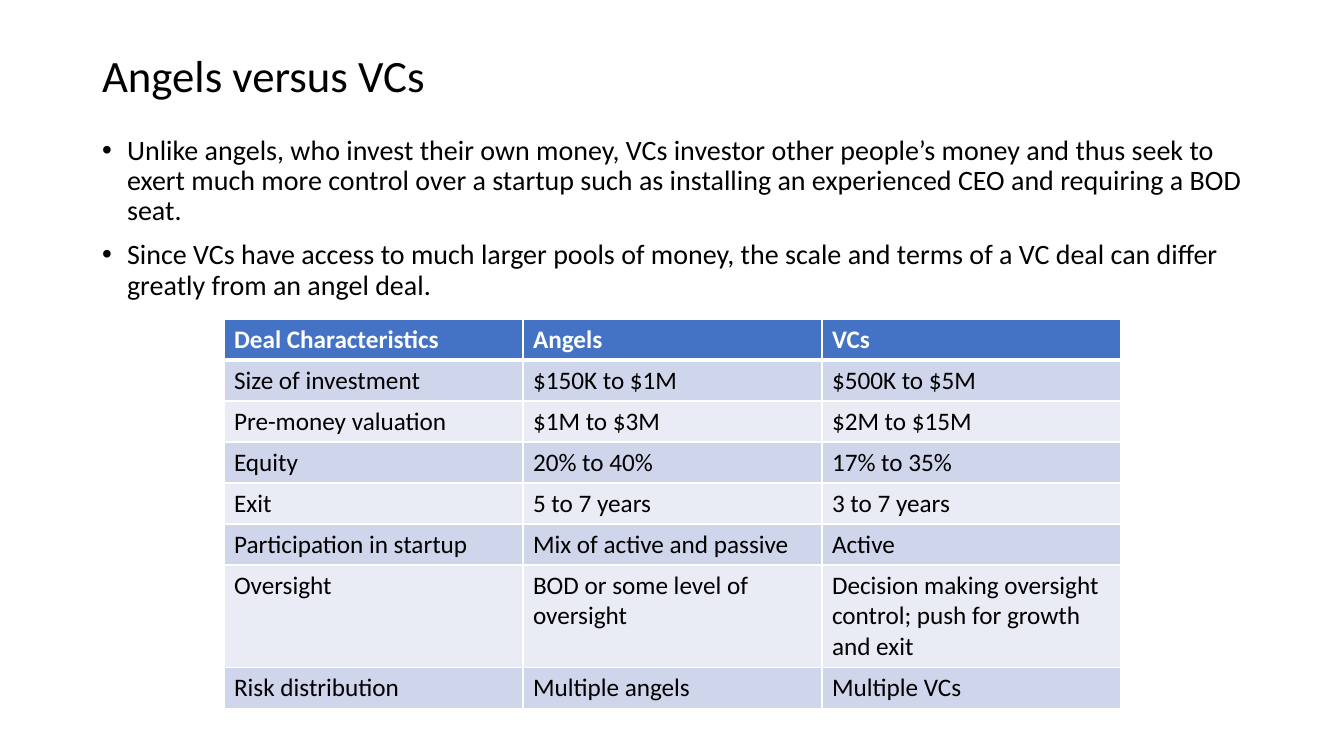
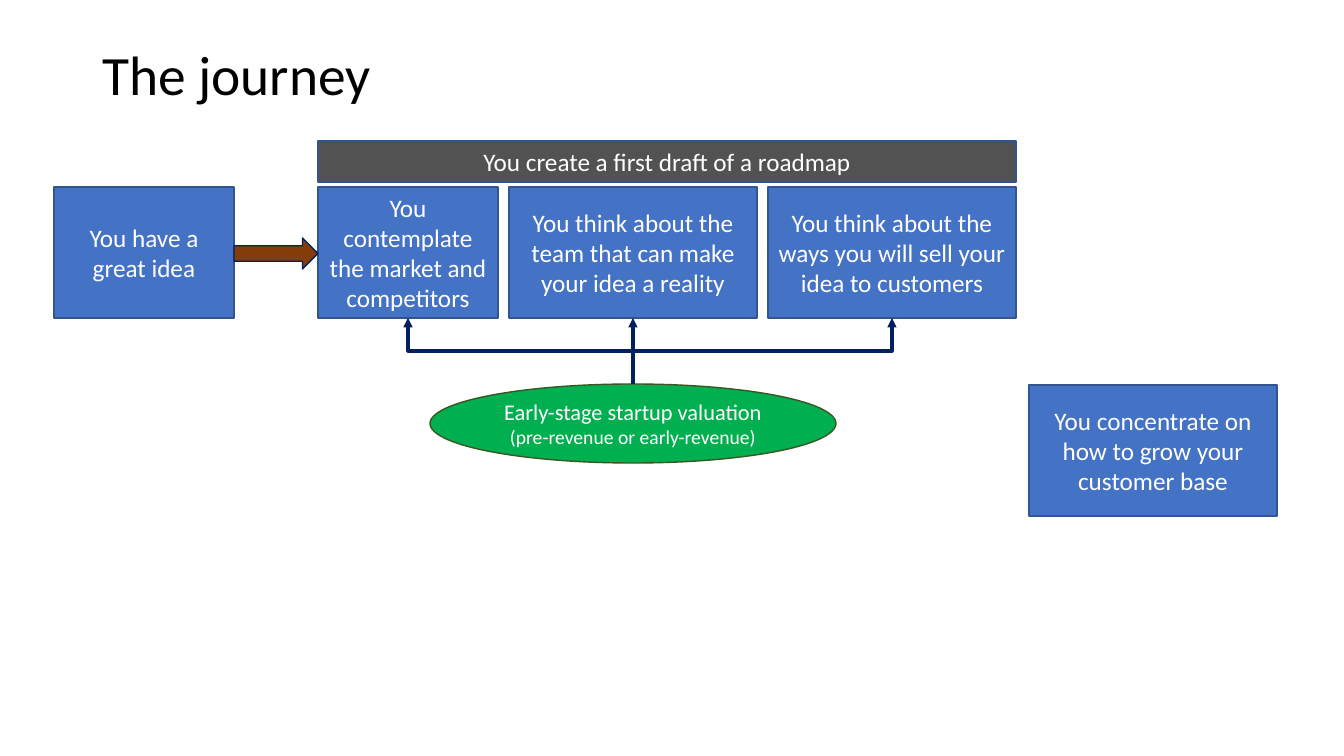
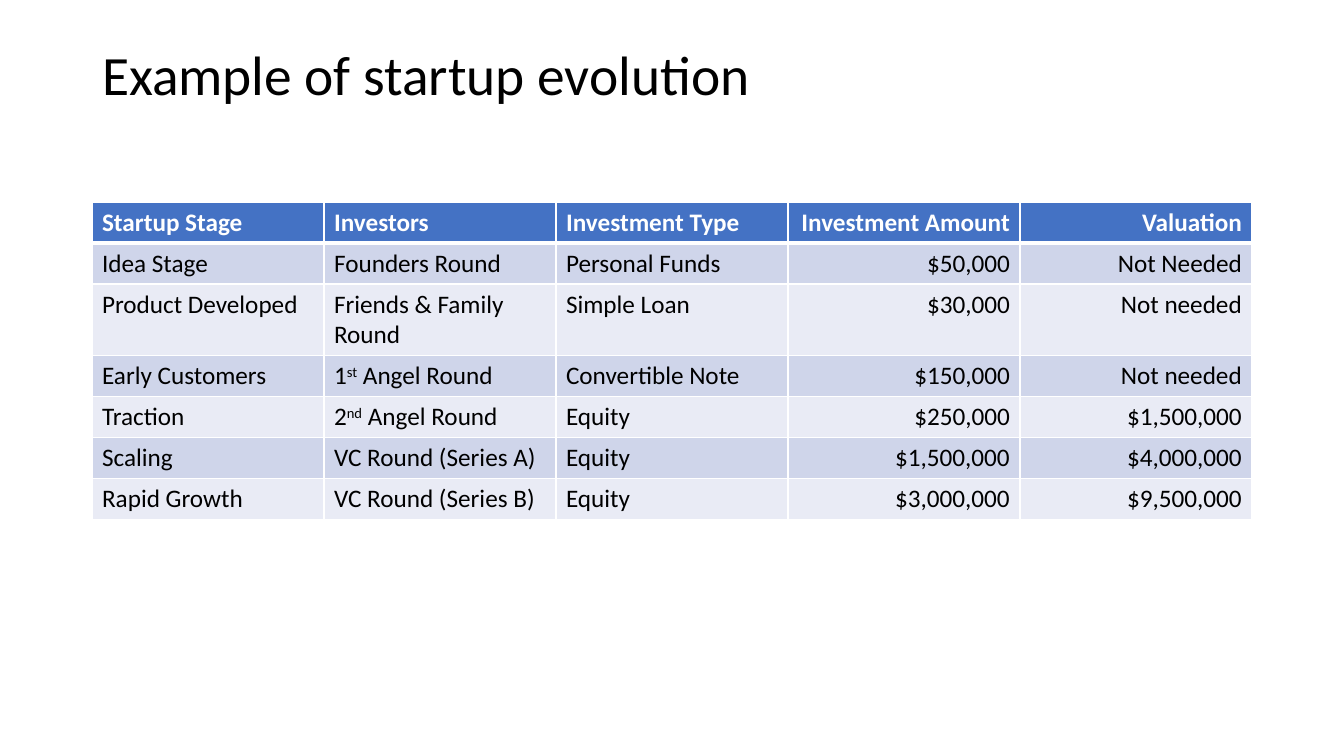
from dataclasses import dataclass

from lxml import etree
from pptx import Presentation
from pptx.dml.color import RGBColor
from pptx.enum.shapes import MSO_CONNECTOR, MSO_SHAPE
from pptx.enum.text import MSO_ANCHOR, MSO_AUTO_SIZE, PP_ALIGN
from pptx.oxml.ns import qn
from pptx.util import Emu, Pt

LEFT, CENTER, RIGHT = PP_ALIGN.LEFT, PP_ALIGN.CENTER, PP_ALIGN.RIGHT
TOP, MIDDLE = MSO_ANCHOR.TOP, MSO_ANCHOR.MIDDLE
NO_FIT = MSO_AUTO_SIZE.NONE
RECT, OVAL, ARROW = MSO_SHAPE.RECTANGLE, MSO_SHAPE.OVAL, MSO_SHAPE.RIGHT_ARROW
STRAIGHT, ELBOW = MSO_CONNECTOR.STRAIGHT, MSO_CONNECTOR.ELBOW
TITLE_AND_CONTENT, TITLE_ONLY = 1, 5
SITE_TOP, SITE_BOTTOM = 0, 2

# ---- Content ----
ANGELS_TITLE = "Angels versus VCs"
ANGELS_POINTS = [
    "Unlike angels, who invest their own money, VCs investor other people’s money and thus "
    "seek to exert much more control over a startup such as installing an experienced CEO "
    "and requiring a BOD seat.",
    "Since VCs have access to much larger pools of money, the scale and terms of a VC deal "
    "can differ greatly from an angel deal.",
]
DEALS = [
    ("Deal Characteristics", "Angels", "VCs"),
    ("Size of investment", "$150K to $1M", "$500K to $5M"),
    ("Pre-money valuation", "$1M to $3M", "$2M to $15M"),
    ("Equity", "20% to 40%", "17% to 35%"),
    ("Exit", "5 to 7 years", "3 to 7 years"),
    ("Participation in startup", "Mix of active and passive", "Active"),
    ("Oversight", "BOD or some level of oversight",
     "Decision making oversight control; push for growth and exit"),
    ("Risk distribution", "Multiple angels", "Multiple VCs"),
]

JOURNEY_TITLE = "The journey"
IDEA = "You have a great idea"
ROADMAP = "You create a first draft of a roadmap"
ROADMAP_STEPS = [  # text, width
    ("You contemplate the market and competitors", 180),
    ("You think about the team that can make your idea a reality", 248),
    ("You think about the ways you will sell your idea to customers", 248),
]
GROWTH = "You concentrate on how to grow your customer base"
VALUATION = ("Early-stage startup valuation", "(pre-revenue or early-revenue)")

EVOLUTION_TITLE = "Example of startup evolution"
# A tuple in a cell is text, superscript, text.
ROUNDS = [
    ("Startup Stage", "Investors", "Investment Type", "Investment Amount", "Valuation"),
    ("Idea Stage", "Founders Round", "Personal Funds", "$50,000", "Not Needed"),
    ("Product Developed", "Friends & Family Round", "Simple Loan", "$30,000", "Not needed"),
    ("Early Customers", ("1", "st", " Angel Round"), "Convertible Note", "$150,000",
     "Not needed"),
    ("Traction", ("2", "nd", " Angel Round"), "Equity", "$250,000", "$1,500,000"),
    ("Scaling", "VC Round (Series A)", "Equity", "$1,500,000", "$4,000,000"),
    ("Rapid Growth", "VC Round (Series B)", "Equity", "$3,000,000", "$9,500,000"),
]


@dataclass(frozen=True)
class Theme:
    """Colours, font and type sizes of the deck."""
    font: str = "Calibri"
    ink: str = "000000"
    paper: str = "FFFFFF"
    blue: str = "4472C4"
    blue_edge: str = "325491"
    gray: str = "525252"
    green: str = "00B050"
    green_edge: str = "385723"
    brown: str = "843C0B"
    navy: str = "002060"
    bands: tuple = ("E9EBF5", "CFD5EA")
    title: float = 39.6
    title_small: float = 32
    body: float = 20
    label: float = 18
    note: float = 16
    note_small: float = 14
    rule: float = 1
    header_rule: float = 3
    link: float = 2.25


THEME = Theme()
SCALE = 914400 / 100.8
SLIDE_SIZE = (1344, 756)
TITLE_BOX = (92, 40, 1159, 75)
BODY_BOX = (92, 131, 1188, 550)
BULLET_INDENT = 25
ROW_HEIGHT = 41


def px(length):
    """Turn pixels into EMU."""
    return Emu(round(length * SCALE))


def rgb(code):
    """Turn a hex code into a colour."""
    return RGBColor.from_string(code)


def write(paragraph, text, size, color, align=LEFT, bold=False, raised=False):
    """Add one run of text to a paragraph."""
    paragraph.alignment = align
    run = paragraph.add_run()
    run.text = text
    font = run.font
    font.name, font.size, font.bold = THEME.font, Pt(size), bold
    font.color.rgb = rgb(color)
    if raised:
        run._r.get_or_add_rPr().set("baseline", "30000")


def place(placeholder, box, anchor):
    """Move a placeholder and return its text frame."""
    placeholder.left, placeholder.top, placeholder.width, placeholder.height = map(px, box)
    frame = placeholder.text_frame
    frame.word_wrap, frame.auto_size, frame.vertical_anchor = True, NO_FIT, anchor
    return frame


def add_slide(deck, layout, title, size=THEME.title):
    """Add a slide with the shared title style."""
    slide = deck.slides.add_slide(deck.slide_layouts[layout])
    heading = place(slide.shapes.title, TITLE_BOX, MIDDLE).paragraphs[0]
    heading.line_spacing = 0.9
    write(heading, title, size, THEME.ink)
    return slide


def add_points(slide, points):
    """Fill the body placeholder with a bulleted list."""
    frame = place(slide.placeholders[1], BODY_BOX, TOP)
    for i, point in enumerate(points):
        paragraph = frame.add_paragraph() if i else frame.paragraphs[0]
        paragraph.line_spacing, paragraph.space_before = 0.9, Pt(10)
        properties = paragraph._p.get_or_add_pPr()
        properties.set("marL", str(px(BULLET_INDENT)))
        properties.set("indent", str(-px(BULLET_INDENT)))
        etree.SubElement(properties, qn("a:buChar"), char="•")
        write(paragraph, point, THEME.body, THEME.ink)


def add_borders(cell, above, below):
    """Draw the rules round a cell; the top and bottom widths are given."""
    widths = {"a:lnL": THEME.rule, "a:lnR": THEME.rule, "a:lnT": above, "a:lnB": below}
    for side, width in widths.items():
        line = etree.SubElement(cell._tc.get_or_add_tcPr(), qn(side), w=str(Pt(width)))
        fill = etree.SubElement(line, qn("a:solidFill"))
        etree.SubElement(fill, qn("a:srgbClr"), val=THEME.paper)


def add_grid(slide, rows, left, top, column_width, right_from):
    """Add a banded table; columns from right_from on are right-aligned."""
    count = len(rows[0])
    table = slide.shapes.add_table(
        len(rows), count, px(left), px(top),
        px(column_width * count), px(ROW_HEIGHT * len(rows))).table
    for column in table.columns:
        column.width = px(column_width)
    for r, row in enumerate(rows):
        table.rows[r].height = px(ROW_HEIGHT)
        header = r == 0
        for c, entry in enumerate(row):
            cell = table.cell(r, c)
            add_borders(cell, THEME.header_rule if r == 1 else THEME.rule,
                        THEME.header_rule if header else THEME.rule)
            cell.fill.solid()
            cell.fill.fore_color.rgb = rgb(THEME.blue if header else THEME.bands[r % 2])
            pieces = entry if isinstance(entry, tuple) else (entry,)
            for i, piece in enumerate(pieces):
                write(cell.text_frame.paragraphs[0], piece, THEME.label,
                      THEME.paper if header else THEME.ink,
                      RIGHT if c >= right_from else LEFT, bold=header, raised=i == 1)


def add_block(slide, kind, box, fill, edge, lines=()):
    """Add a filled shape with centred lines of (text, size)."""
    block = slide.shapes.add_shape(kind, *map(px, box))
    block.shadow.inherit = False
    block.fill.solid()
    block.fill.fore_color.rgb = rgb(fill)
    block.line.color.rgb = rgb(edge)
    block.line.width = Pt(THEME.rule)
    frame = block.text_frame
    frame.word_wrap, frame.vertical_anchor = True, MIDDLE
    for i, (text, size) in enumerate(lines):
        paragraph = frame.add_paragraph() if i else frame.paragraphs[0]
        write(paragraph, text, size, THEME.paper, CENTER)
    return block


def add_step(slide, text, box, fill=THEME.blue):
    """Add one box of the journey."""
    return add_block(slide, RECT, box, fill, THEME.blue_edge, [(text, THEME.label)])


def add_link(slide, source, target):
    """Point an arrow from the top of source up to the bottom of target."""
    start_x, start_y = source.left + source.width // 2, source.top
    end_x, end_y = target.left + target.width // 2, target.top + target.height
    run, rise = end_x - start_x, start_y - end_y
    straight = abs(run) < px(1)
    link = slide.shapes.add_connector(STRAIGHT if straight else ELBOW,
                                      start_x, start_y, end_x, end_y)
    link.begin_connect(source, SITE_TOP)
    link.end_connect(target, SITE_BOTTOM)
    if not straight:
        # An elbow leaves sideways, so lay it flat and turn it to leave upwards.
        middle_x, middle_y = (start_x + end_x) // 2, (start_y + end_y) // 2
        link.begin_x, link.end_x = middle_x - rise // 2, middle_x + rise // 2
        link.begin_y, link.end_y = middle_y - run // 2, middle_y + run // 2
        link._element.spPr.get_or_add_xfrm().set("rot", str(270 * 60000))
    link.line.color.rgb = rgb(THEME.navy)
    link.line.width = Pt(THEME.link)
    etree.SubElement(link.line._get_or_add_ln(), qn("a:tailEnd"), type="triangle")
    etree.SubElement(link._element.spPr, qn("a:effectLst"))


def build_angels(deck):
    """Build the comparison of angels and VCs."""
    slide = add_slide(deck, TITLE_AND_CONTENT, ANGELS_TITLE, THEME.title_small)
    add_points(slide, ANGELS_POINTS)
    add_grid(slide, DEALS, 224, 319, 299, right_from=len(DEALS[0]))


def build_journey(deck):
    """Build the journey diagram."""
    slide = add_slide(deck, TITLE_ONLY, JOURNEY_TITLE)
    top, height, gap = 187, 131, 11
    idea_left, idea_width, roadmap_left = 54, 180, 318
    add_step(slide, IDEA, (idea_left, top, idea_width, height))
    steps, left = [], roadmap_left
    for text, width in ROADMAP_STEPS:
        steps.append(add_step(slide, text, (left, top, width, height)))
        left += width + gap
    roadmap_width = left - gap - roadmap_left
    add_step(slide, ROADMAP, (roadmap_left, 141, roadmap_width, 41), THEME.gray)
    add_step(slide, GROWTH, (1029, 385, 248, height))
    valuation = add_block(slide, OVAL, (430, 384, 406, 79), THEME.green, THEME.green_edge,
                          zip(VALUATION, (THEME.note, THEME.note_small)))
    idea_right = idea_left + idea_width
    add_block(slide, ARROW, (idea_right, 238, roadmap_left - idea_right, 31),
              THEME.brown, THEME.navy)
    for step in steps:
        add_link(slide, valuation, step)


def build_evolution(deck):
    """Build the table of funding rounds."""
    slide = add_slide(deck, TITLE_ONLY, EVOLUTION_TITLE)
    add_grid(slide, ROUNDS, 92, 202, 232, right_from=3)


def main():
    """Build and save the deck."""
    deck = Presentation()
    deck.slide_width, deck.slide_height = map(px, SLIDE_SIZE)
    for build in (build_angels, build_journey, build_evolution):
        build(deck)
    deck.save("out.pptx")


main()
